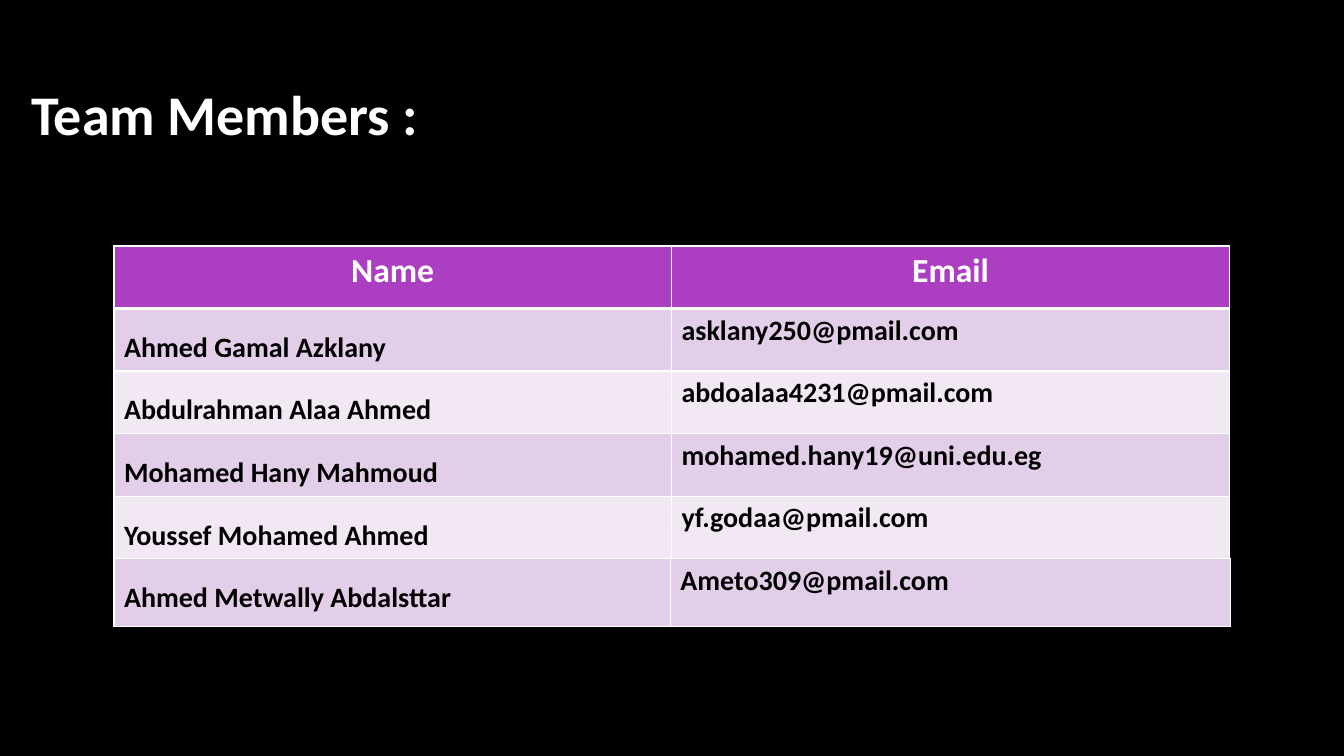
from dataclasses import dataclass

from lxml.etree import SubElement
from pptx import Presentation
from pptx.dml.color import RGBColor
from pptx.enum.text import MSO_ANCHOR, PP_ALIGN
from pptx.oxml.ns import qn
from pptx.util import Pt

# Content
TITLE = "Team Members :"
HEADER = ("Name", "Email")
MEMBERS = [
    ("Ahmed Gamal Azklany", "asklany250@pmail.com"),
    ("Abdulrahman Alaa Ahmed", "abdoalaa4231@pmail.com"),
    ("Mohamed Hany Mahmoud", "mohamed.hany19@uni.edu.eg"),
    ("Youssef Mohamed Ahmed", "yf.godaa@pmail.com"),
]
LAST_MEMBER = ("Ahmed Metwally Abdalsttar", "Ameto309@pmail.com")


@dataclass(frozen=True)
class Theme:
    font: str = "Calibri"
    background: str = "000000"
    light: str = "FFFFFF"
    dark: str = "000000"
    header_fill: str = "AC3EC1"
    band_fills: tuple = ("E3CEE9", "F1E8F4")
    title_size: int = 40
    header_size: int = 24
    body_size: int = 20
    border_width: int = 1
    header_border_width: int = 3


THEME = Theme()

# Layout in points
TABLE_LEFT, TABLE_TOP = 81.4, 175.7
ROW_HEIGHT, LAST_ROW_HEIGHT = 44.7, 48.2


def write_text(text_frame, text, *, size, color, align=PP_ALIGN.LEFT, spacing=1.0):
    paragraph = text_frame.paragraphs[0]
    paragraph.alignment = align
    paragraph.line_spacing = spacing
    run = paragraph.add_run()
    run.text = text
    run.font.name = THEME.font
    run.font.size = Pt(size)
    run.font.bold = True
    run.font.color.rgb = RGBColor.from_string(color)


def set_borders(cell, **widths):
    properties = cell._tc.get_or_add_tcPr()
    for side in "LRTB":
        width = widths.get(side, THEME.border_width)
        line = SubElement(properties, qn(f"a:ln{side}"), w=str(Pt(width)))
        fill = SubElement(line, qn("a:solidFill"))
        SubElement(fill, qn("a:srgbClr"), val=THEME.light)


def set_fill(cell, color):
    cell.fill.solid()
    cell.fill.fore_color.rgb = RGBColor.from_string(color)


def fill_header(table):
    for cell, label in zip(table.rows[0].cells, HEADER):
        set_borders(cell, B=THEME.header_border_width)
        set_fill(cell, THEME.header_fill)
        write_text(cell.text_frame, label, size=THEME.header_size,
                   color=THEME.light, align=PP_ALIGN.CENTER)


def fill_members(table, members, first_row=0):
    for index, member in enumerate(members):
        below_header = index == 0 and first_row > 0
        top = THEME.header_border_width if below_header else THEME.border_width
        cells = table.rows[first_row + index].cells
        for cell, text, spacing in zip(cells, member, (1.5, 1.0)):
            set_borders(cell, T=top)
            set_fill(cell, THEME.band_fills[index % 2])
            write_text(cell.text_frame, text, size=THEME.body_size,
                       color=THEME.dark, spacing=spacing)


def add_member_table(slide, top, row_count, row_height, column_widths):
    frame = slide.shapes.add_table(
        row_count, len(column_widths), Pt(TABLE_LEFT), Pt(top),
        Pt(sum(column_widths)), Pt(row_height * row_count))
    table = frame.table
    table.first_row = table.horz_banding = False
    for column, width in zip(table.columns, column_widths):
        column.width = Pt(width)
    return table


def main():
    presentation = Presentation()
    presentation.slide_width, presentation.slide_height = Pt(960), Pt(540)
    slide = presentation.slides.add_slide(presentation.slide_layouts[6])
    slide.background.fill.solid()
    slide.background.fill.fore_color.rgb = RGBColor.from_string(THEME.background)

    # Title
    title = slide.shapes.add_textbox(Pt(15.1), Pt(23.3), Pt(797.8), Pt(114.5))
    title.text_frame.word_wrap = True
    title.text_frame.vertical_anchor = MSO_ANCHOR.MIDDLE
    write_text(title.text_frame, TITLE, size=THEME.title_size, color=THEME.light)

    # Main table
    row_count = len(MEMBERS) + 1
    table = add_member_table(slide, TABLE_TOP, row_count, ROW_HEIGHT, (398.2, 398.9))
    fill_header(table)
    fill_members(table, MEMBERS, first_row=1)

    # Last member, in a table directly below
    last_top = TABLE_TOP + row_count * ROW_HEIGHT
    last_table = add_member_table(slide, last_top, 1, LAST_ROW_HEIGHT, (397.4, 400.3))
    fill_members(last_table, [LAST_MEMBER])

    presentation.save("out.pptx")


if __name__ == "__main__":
    main()
